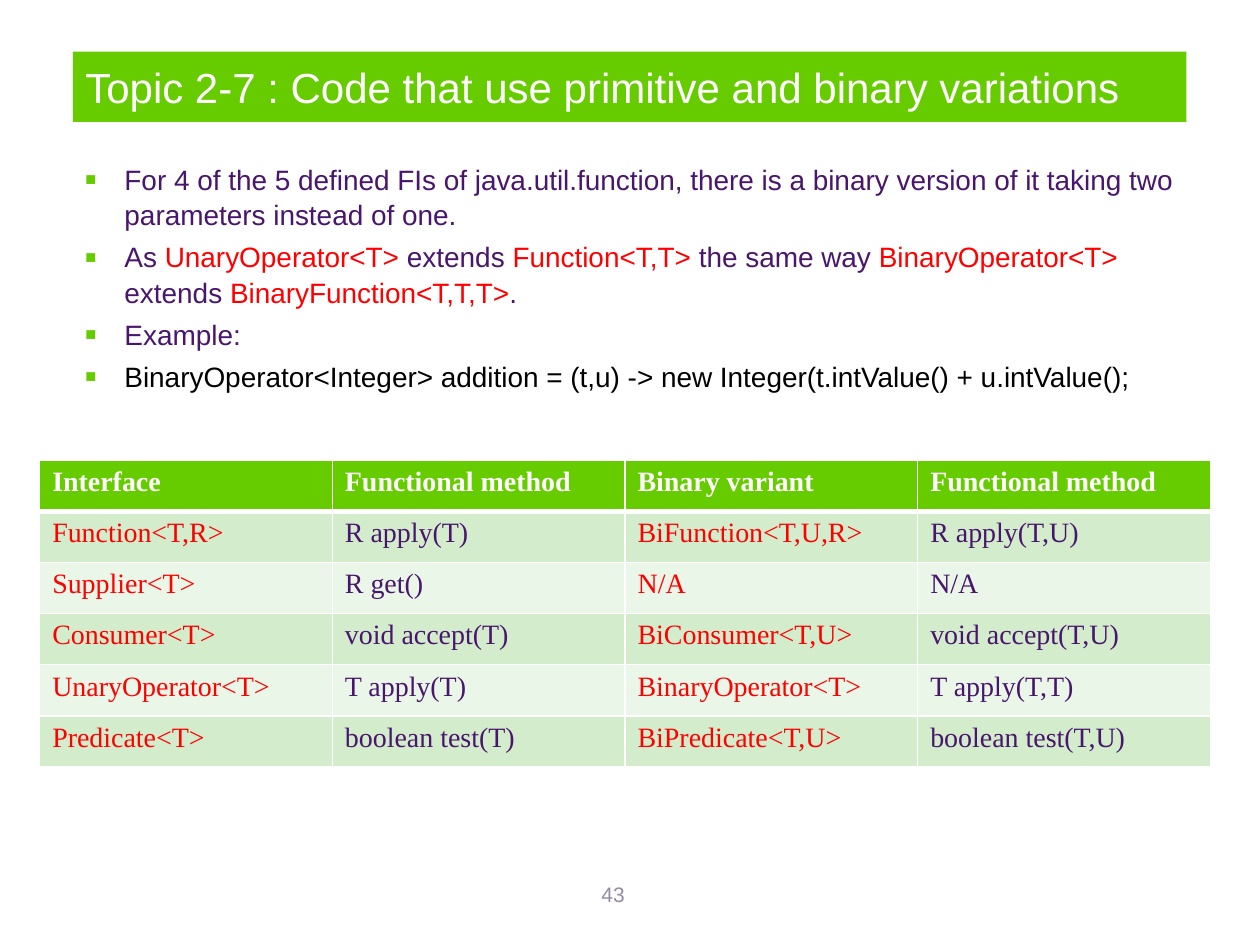
import pptx
import pptx.dml.color
import pptx.enum.shapes
import pptx.enum.text
import pptx.oxml
import pptx.oxml.ns
import pptx.util

Cm = pptx.util.Cm
Pt = pptx.util.Pt
Align = pptx.enum.text.PP_ALIGN
Anchor = pptx.enum.text.MSO_ANCHOR

COLORS = {
    "green": "66CC00",
    "purple": "49166D",
    "red": "FF0000",
    "black": "000000",
    "white": "FFFFFF",
    "grey": "958CA3",
    "band": "D3ECCC",
    "light": "EAF6E7",
}

TITLE = "Topic 2-7 : Code that use primitive and binary variations"

POINTS = [
    [("For 4 of the 5 defined FIs of java.util.function, there is a binary version "
      "of it taking two parameters instead of one.", "purple")],
    [("As ", "purple"), ("UnaryOperator<T> ", "red"), ("extends ", "purple"),
     ("Function<T,T> ", "red"), ("the same way ", "purple"),
     ("BinaryOperator<T>", "red"), (" extends ", "purple"),
     ("BinaryFunction<T,T,T>", "red"), (".", "purple")],
    [("Example:", "purple")],
    [("BinaryOperator<Integer> addition = (t,u) -> "
      "new Integer(t.intValue() + u.intValue();", "black")],
]

INTERFACES = [
    ["Interface", "Functional method", "Binary variant", "Functional method"],
    ["Function<T,R>", "R apply(T)", "BiFunction<T,U,R>", "R apply(T,U)"],
    ["Supplier<T>", "R get()", "N/A", "N/A"],
    ["Consumer<T>", "void accept(T)", "BiConsumer<T,U>", "void accept(T,U)"],
    ["UnaryOperator<T>", "T apply(T)", "BinaryOperator<T>", "T apply(T,T)"],
    ["Predicate<T>", "boolean test(T)", "BiPredicate<T,U>", "boolean test(T,U)"],
]

LEFT, WIDTH = Cm(1.47), Cm(22.45)
COLUMN_WIDTH, ROW_HEIGHT = Cm(5.9), Cm(1.03)


def rgb(color):
    return pptx.dml.color.RGBColor.from_string(COLORS[color])


def apply_format(target, values):
    for name, value in values.items():
        setattr(target, name, value)


def paint(target, color):
    target.fill.solid()
    target.fill.fore_color.rgb = rgb(color)


def write(paragraph, text, color, size, font="Arial", bold=False):
    run = paragraph.add_run()
    run.text = text
    apply_format(run.font, {"name": font, "size": Pt(size), "bold": bold})
    run.font.color.rgb = rgb(color)


def add_bullet(paragraph):
    properties = paragraph._p.get_or_add_pPr()
    properties.set("marL", str(Cm(0.79)))
    properties.set("indent", str(Cm(-0.79)))
    namespace = pptx.oxml.ns.nsdecls("a")
    for markup in (
        f'<a:buClr {namespace}><a:srgbClr val="{COLORS["green"]}"/></a:buClr>',
        f'<a:buSzPct {namespace} val="65000"/>',
        f'<a:buFont {namespace} typeface="Arial"/>',
        f'<a:buChar {namespace} char="■"/>',
    ):
        properties.append(pptx.oxml.parse_xml(markup))


def add_border(cell, side, points):
    cell._tc.get_or_add_tcPr().append(pptx.oxml.parse_xml(
        f'<a:{side} {pptx.oxml.ns.nsdecls("a")} w="{Pt(points)}"><a:solidFill>'
        f'<a:srgbClr val="{COLORS["white"]}"/></a:solidFill></a:{side}>'))


def add_title(slide):
    banner = slide.shapes.add_shape(
        pptx.enum.shapes.MSO_SHAPE.RECTANGLE, LEFT, Cm(1.04), WIDTH, Cm(1.42))
    banner.shadow.inherit = False
    paint(banner, "green")
    banner.line.fill.background()
    apply_format(banner.text_frame,
                 {"word_wrap": True, "vertical_anchor": Anchor.MIDDLE})
    heading = banner.text_frame.paragraphs[0]
    heading.alignment = Align.LEFT
    write(heading, TITLE, "white", 24)


def add_points(slide):
    body = slide.shapes.add_textbox(LEFT, Cm(3.12), WIDTH, Cm(4.95)).text_frame
    body.word_wrap = True
    for index, pieces in enumerate(POINTS):
        point = body.add_paragraph() if index else body.paragraphs[0]
        apply_format(point, {"alignment": Align.LEFT, "space_before": Pt(4),
                             "line_spacing": 1.05})
        add_bullet(point)
        for text, color in pieces:
            write(point, text, color, 16)


def fill_cell(cell, text, row, column):
    header = row == 0
    widths = {"lnL": 1, "lnR": 1, "lnT": 3 if row == 1 else 1,
              "lnB": 3 if header else 1}
    for side, points in widths.items():
        add_border(cell, side, points)
    paint(cell, "green" if header else "band" if row % 2 else "light")
    color = "white" if header else "purple" if column % 2 else "red"
    write(cell.text_frame.paragraphs[0], text, color, 16, "Times New Roman", header)


def add_interfaces(slide):
    rows, columns = len(INTERFACES), len(INTERFACES[0])
    table = slide.shapes.add_table(
        rows, columns, Cm(0.8), Cm(9.28),
        COLUMN_WIDTH * columns, ROW_HEIGHT * rows).table
    for row, texts in enumerate(INTERFACES):
        for column, text in enumerate(texts):
            fill_cell(table.cell(row, column), text, row, column)


def add_page_number(slide):
    footer = slide.shapes.add_textbox(Cm(9.4), Cm(17.65), Cm(5.92), Cm(1.02))
    footer.text_frame.word_wrap = True
    number = footer.text_frame.paragraphs[0]
    number.alignment = Align.CENTER
    write(number, "43", "grey", 12)


def main():
    deck = pptx.Presentation()
    apply_format(deck, {"slide_width": Cm(25.4), "slide_height": Cm(19.05)})
    slide = deck.slides.add_slide(deck.slide_layouts[6])
    add_page_number(slide)
    add_title(slide)
    add_points(slide)
    add_interfaces(slide)
    deck.save("out.pptx")


if __name__ == "__main__":
    main()
